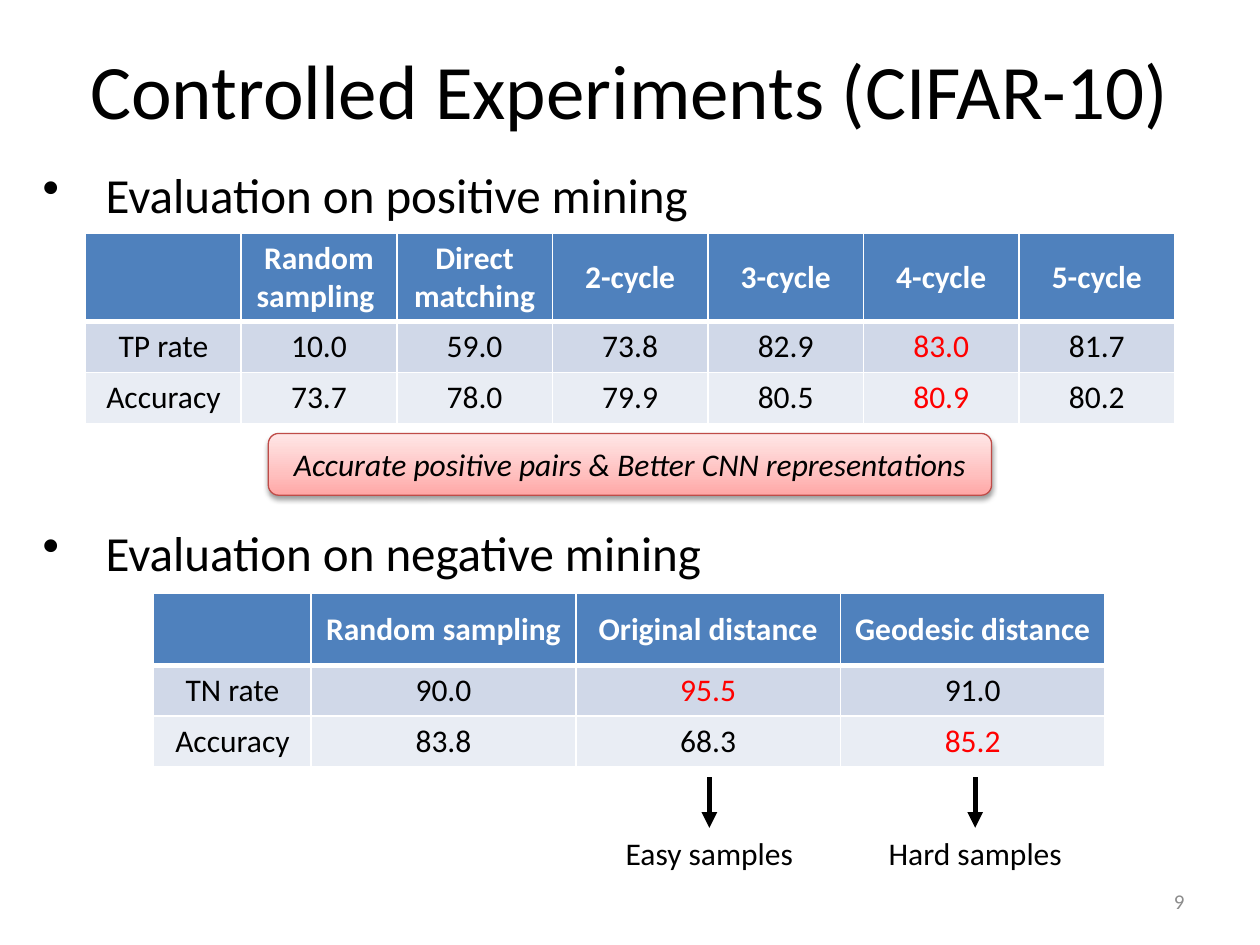
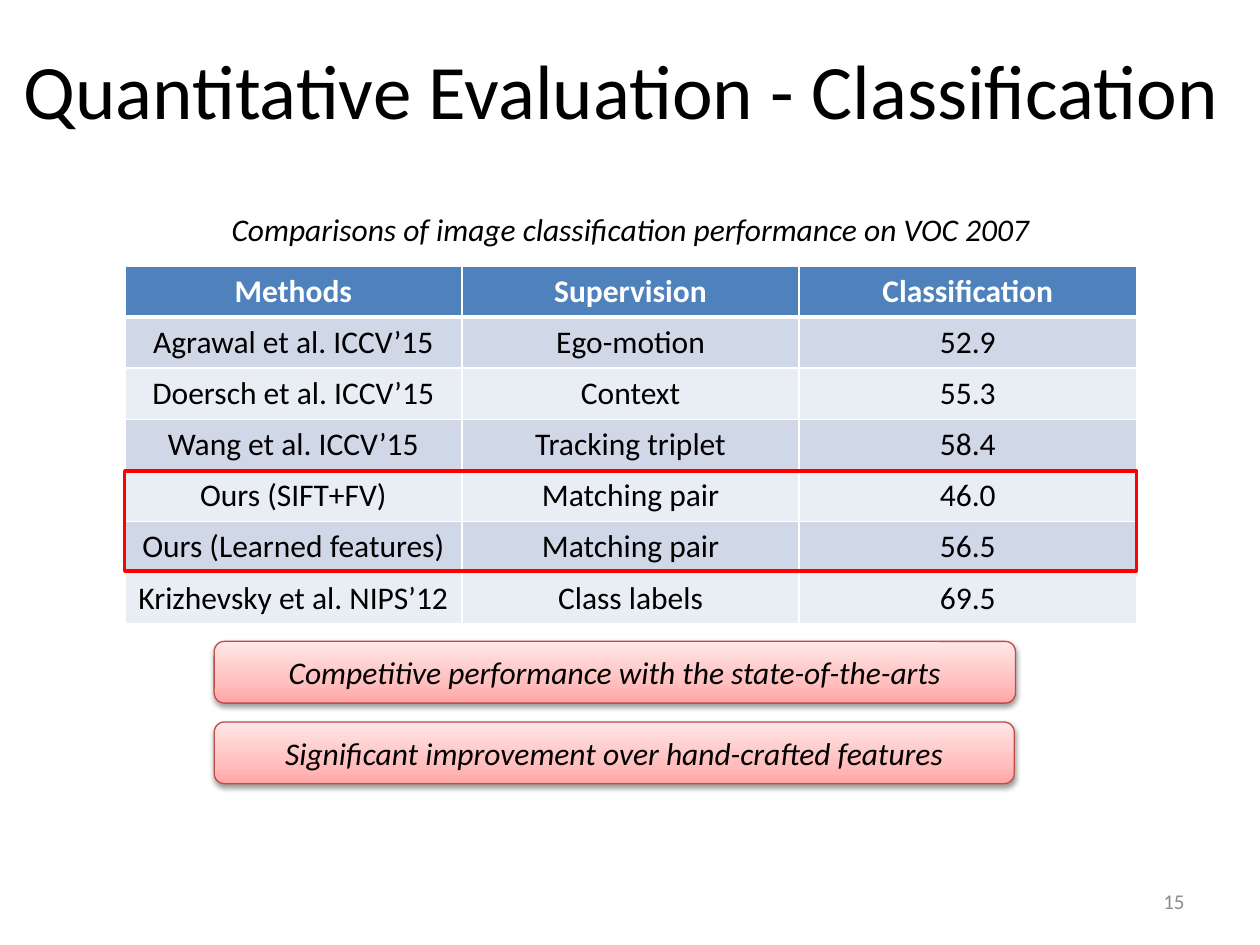
from pptx import Presentation
from pptx.dml.color import RGBColor as RGB
from pptx.enum.shapes import MSO_CONNECTOR as LINK, MSO_SHAPE as SHAPE
from pptx.enum.text import MSO_ANCHOR as ANCHOR, PP_ALIGN as ALIGN
from pptx.oxml import parse_xml
from pptx.oxml.ns import nsdecls, qn
from pptx.util import Inches, Pt

# Content: boxes are (left, top, width, height) in inches
PAGES = [
    {
        "title": "Controlled Experiments (CIFAR-10)",
        "number": "9",
        "bullets": [("Evaluation on positive mining", 1.26),
                    ("Evaluation on negative mining", 4.1)],
        "tables": [
            {"at": (0.68, 1.85), "cols": [1.235] * 7, "rows": (0.7, 0.405),
             "red": {(1, 5), (2, 5)},
             "cells": [
                 ["", "Random sampling ", "Direct matching",
                  "2-cycle", "3-cycle", "4-cycle", "5-cycle"],
                 ["TP rate", "10.0", "59.0", "73.8", "82.9", "83.0", "81.7"],
                 ["Accuracy", "73.7", "78.0", "79.9", "80.5", "80.9", "80.2"]]},
            {"at": (1.22, 4.71), "cols": [1.25] + [2.1] * 3, "rows": (0.57, 0.405),
             "red": {(1, 2), (2, 3)},
             "cells": [
                 ["", "Random sampling ", "Original distance", "Geodesic distance"],
                 ["TN rate", "90.0", "95.5", "91.0"],
                 ["Accuracy", "83.8", "68.3", "85.2"]]},
        ],
        "arrows": [("Easy samples", 5.63), ("Hard samples", 7.74)],
        "banners": [("Accurate positive pairs & Better CNN representations",
                     (2.13, 3.44, 5.74, 0.49))],
    },
    {
        "title": "Quantitative Evaluation - Classification ",
        "number": "15",
        "caption": ("Comparisons of image classification performance on VOC 2007",
                    (1.7, 1.62, 6.61, 0.4)),
        "tables": [
            {"at": (0.99, 2.11), "cols": [8.03 / 3] * 3, "rows": (0.406, 0.406),
             "red": set(), "frame": (0.99, 3.74, 8.03, 0.79),
             "cells": [
                 ["Methods", "Supervision", "Classification"],
                 ["Agrawal et al. ICCV’15", "Ego-motion", "52.9"],
                 ["Doersch et al. ICCV’15", "Context", "55.3"],
                 ["Wang et al. ICCV’15", "Tracking triplet", "58.4"],
                 ["Ours (SIFT+FV)", "Matching pair", "46.0"],
                 ["Ours (Learned features)", "Matching pair", "56.5"],
                 ["Krizhevsky et al. NIPS’12", "Class labels", "69.5"]]},
        ],
        "banners": [
            ("Competitive performance with the state-of-the-arts",
             (1.7, 5.09, 6.36, 0.49)),
            ("Significant improvement over hand-crafted features",
             (1.7, 5.73, 6.35, 0.49))],
    },
]


class Theme:
    font = "Calibri"
    ink, white, red, gray = "000000", "FFFFFF", "FF0000", "8C8C8C"
    head, bands = "4F81BD", ("D0D8E8", "E9EDF4")
    edge = "BF4C48"
    fade = [(0, "FFA6A5"), (35, "FFC0BF"), (100, "FFE7E7")]
    title = {"size": 44}
    point = {"size": 28}
    body = {"size": 18}
    note = {"size": 18, "italic": True}
    label = {"size": 18, "bold": True, "color": white}
    mark = {"size": 18, "color": red}
    foot = {"size": 12, "color": gray}


def inch(nums):
    return [Inches(n) for n in nums]


def style(para, look, align=ALIGN.CENTER):
    para.alignment = align
    values = {"name": Theme.font, **look}
    color = values.pop("color", Theme.ink)
    values["size"] = Pt(values["size"])
    for run in para.runs:
        for key, value in values.items():
            setattr(run.font, key, value)
        run.font.color.rgb = RGB.from_string(color)


def write(slide, text, box, look, align=ALIGN.CENTER, wrap=True, anchor=ANCHOR.TOP):
    frame = slide.shapes.add_textbox(*inch(box)).text_frame
    frame.word_wrap, frame.vertical_anchor = wrap, anchor
    para = frame.paragraphs[0]
    para.text = text
    style(para, look, align)
    return para


def add_point(slide, text, top):
    para = write(slide, text, (0.24, top, 9.53, 0.57), Theme.point, ALIGN.LEFT)
    props = para._p.get_or_add_pPr()
    props.set("marL", str(Inches(0.5)))
    props.set("indent", str(Inches(-0.5)))
    props.append(parse_xml(f'<a:buChar {nsdecls("a")} char="•"/>'))


def add_edges(cell, row):
    # The rule under the header is thicker
    widths = {"L": 1, "R": 1, "T": 3 if row == 1 else 1, "B": 3 if row == 0 else 1}
    props = cell._tc.get_or_add_tcPr()
    for side, width in widths.items():
        props.append(parse_xml(
            f'<a:ln{side} {nsdecls("a")} w="{Pt(width)}"><a:solidFill>'
            f'<a:srgbClr val="{Theme.white}"/></a:solidFill></a:ln{side}>'))


def add_grid(slide, data):
    cells, cols = data["cells"], data["cols"]
    first, rest = data["rows"]
    highs = [first] + [rest] * (len(cells) - 1)
    box = (*data["at"], sum(cols), sum(highs))
    grid = slide.shapes.add_table(len(cells), len(cols), *inch(box)).table
    for col, width in zip(grid.columns, cols):
        col.width = Inches(width)
    for r, texts in enumerate(cells):
        grid.rows[r].height = Inches(highs[r])
        for c, text in enumerate(texts):
            cell = grid.cell(r, c)
            cell.text = text
            cell.vertical_anchor = ANCHOR.MIDDLE
            add_edges(cell, r)
            cell.fill.solid()
            fill = Theme.bands[(r - 1) % 2] if r else Theme.head
            cell.fill.fore_color.rgb = RGB.from_string(fill)
            look = Theme.mark if (r, c) in data["red"] else Theme.body
            style(cell.text_frame.paragraphs[0], look if r else Theme.label)
    if "frame" in data:
        add_box(slide, SHAPE.RECTANGLE, data["frame"], Theme.red, 2).fill.background()


def add_box(slide, kind, box, color, width):
    shape = slide.shapes.add_shape(kind, *inch(box))
    shape.shadow.inherit = False
    shape.line.color.rgb = RGB.from_string(color)
    shape.line.width = Pt(width)
    return shape


def add_banner(slide, text, box):
    shape = add_box(slide, SHAPE.ROUNDED_RECTANGLE, box, Theme.edge, 0.75)
    # Pink fade, darkest at the foot
    shape.fill.gradient()
    shape.fill.gradient_angle = 90
    props = shape._element.spPr
    stops = props.find(".//" + qn("a:gsLst"))
    for stop in list(stops):
        stops.remove(stop)
    for pos, color in Theme.fade:
        stops.append(parse_xml(f'<a:gs {nsdecls("a")} pos="{pos * 1000}">'
                               f'<a:srgbClr val="{color}"/></a:gs>'))
    # Soft shadow below
    props.find(qn("a:effectLst")).append(parse_xml(
        f'<a:outerShdw {nsdecls("a")} blurRad="{Pt(3.1)}" dist="{Pt(1.6)}" '
        f'dir="5400000" rotWithShape="0"><a:srgbClr val="{Theme.ink}">'
        '<a:alpha val="38000"/></a:srgbClr></a:outerShdw>'))
    frame = shape.text_frame
    frame.word_wrap, frame.vertical_anchor = True, ANCHOR.MIDDLE
    frame.text = text
    style(frame.paragraphs[0], Theme.note)


def add_arrow(slide, text, x, top=6.17, end=6.57, wide=1.6):
    link = slide.shapes.add_connector(LINK.STRAIGHT, *inch((x, top, x, end)))
    link.line.color.rgb = RGB.from_string(Theme.ink)
    link.line.width = Pt(3)
    link.line._get_or_add_ln().append(
        parse_xml(f'<a:tailEnd {nsdecls("a")} type="triangle"/>'))
    link._element.spPr.append(parse_xml(f'<a:effectLst {nsdecls("a")}/>'))
    write(slide, text, (x - wide / 2, end, wide, 0.4), Theme.body, wrap=False)


def add_page(deck, page):
    slide = deck.slides.add_slide(deck.slide_layouts[6])
    # Shared title and page number
    write(slide, page["title"], (0, 0.29, 10, 0.84), Theme.title)
    write(slide, page["number"], (7.17, 6.95, 2.33, 0.4), Theme.foot,
          ALIGN.RIGHT, anchor=ANCHOR.MIDDLE)
    # Page content
    if "caption" in page:
        write(slide, *page["caption"], Theme.note, wrap=False)
    for data in page["tables"]:
        add_grid(slide, data)
    for part, draw in (("bullets", add_point), ("arrows", add_arrow),
                       ("banners", add_banner)):
        for item in page.get(part, []):
            draw(slide, *item)


def main():
    deck = Presentation()
    deck.slide_width, deck.slide_height = inch((10, 7.5))
    for page in PAGES:
        add_page(deck, page)
    deck.save("out.pptx")


if __name__ == "__main__":
    main()
